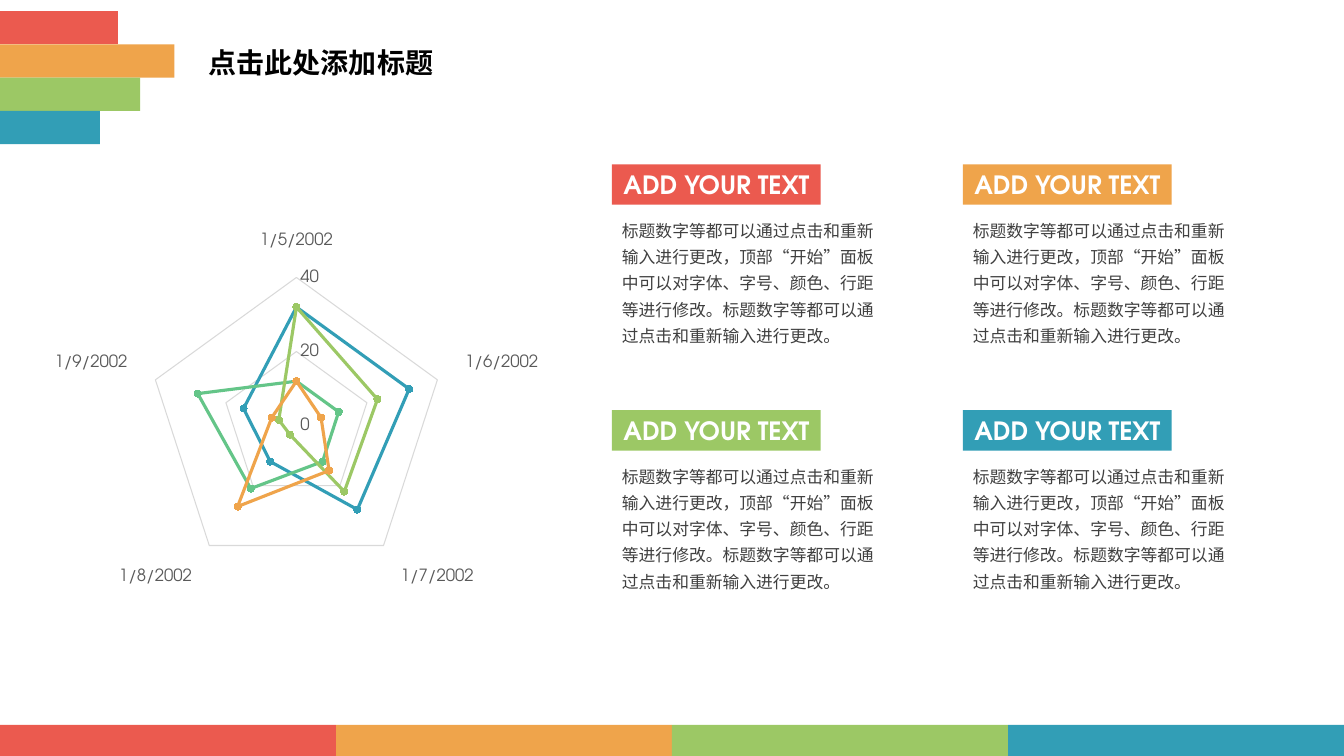
from lxml import etree
from pptx import Presentation
from pptx.chart.data import CategoryChartData
from pptx.dml.color import RGBColor
from pptx.enum.chart import XL_CHART_TYPE, XL_MARKER_STYLE, XL_TICK_MARK
from pptx.enum.shapes import MSO_SHAPE
from pptx.enum.text import MSO_ANCHOR, MSO_AUTO_SIZE, PP_ALIGN
from pptx.oxml.ns import qn
from pptx.util import Inches, Pt

RECT = MSO_SHAPE.RECTANGLE
RADAR = XL_CHART_TYPE.RADAR_MARKERS
CIRCLE = XL_MARKER_STYLE.CIRCLE
NO_TICK = XL_TICK_MARK.NONE
LEFT, CENTER = PP_ALIGN.LEFT, PP_ALIGN.CENTER
MIDDLE, TOP = MSO_ANCHOR.MIDDLE, MSO_ANCHOR.TOP
NO_FIT = MSO_AUTO_SIZE.NONE

CJK, LATIN = "Noto Sans CJK SC", "TeX Gyre Adventor"
WIDTH, HEIGHT = 13.33, 7.5
PALETTE = ["EB5A4F", "EFA44B", "9CC865", "329EB6"]

TITLE = "点击此处添加标题"
HEADING = "ADD YOUR TEXT"
BODY = ("标题数字等都可以通过点击和重新输入进行更改，顶部“开始”面板中可以对字体、字号、颜色、行距等进行修改。"
        "标题数字等都可以通过点击和重新输入进行更改。")

STRIPE_WIDTHS = [1.17, 1.73, 1.39, 0.99]
STRIPE_TOP, STRIPE_H = 0.11, 0.33
FOOTER_H = 0.31
GRID_LEFT, GRID_TOP, COL_STEP, ROW_STEP = 6.07, 1.63, 3.48, 2.44
BODY_DROP = 0.45

DATES = ["1/5/2002", "1/6/2002", "1/7/2002", "1/8/2002", "1/9/2002"]
SERIES = [
    ("Series 1", "329EB6", (32, 32, 28, 12, 15)),
    ("Series 2", "64C588", (12, 12, 12, 21, 28)),
    ("Series 3", "9CC865", (32, 23, 22, 3, 5)),
    ("Series 4", "EFA44B", (12, 7, 15, 27, 7)),
]


def rgb(value):
    return RGBColor.from_string(value)


def box(left, top, width, height):
    return [Inches(v) for v in (left, top, width, height)]


def add_bar(s, color, *place):
    sp = s.shapes.add_shape(RECT, *box(*place))
    sp.shadow.inherit = False
    sp.fill.solid()
    sp.fill.fore_color.rgb = rgb(color)
    sp.line.fill.background()
    return sp


def style_font(font, size, color, name, bold=False):
    font.size, font.name, font.bold = Pt(size), name, bold
    font.color.rgb = rgb(color)


def write(sp, text, size, color, name, bold=False, align=LEFT,
          anchor=TOP, spacing=1.0, wrap=True):
    tf = sp.text_frame
    tf.word_wrap, tf.auto_size, tf.vertical_anchor = wrap, NO_FIT, anchor
    p = tf.paragraphs[0]
    p.alignment, p.line_spacing, p.space_before = align, spacing, Pt(0)
    r = p.add_run()
    r.text = text
    style_font(r.font, size, color, name, bold)
    latin = r.font._element.find(qn("a:latin"))
    ea = etree.Element(qn("a:ea"), typeface=name)
    latin.addnext(ea)


def add_stripes(s):
    for i, (color, width) in enumerate(zip(PALETTE, STRIPE_WIDTHS)):
        add_bar(s, color, 0, STRIPE_TOP + i * STRIPE_H, width, STRIPE_H)
        quarter = WIDTH / len(PALETTE)
        add_bar(s, color, i * quarter, HEIGHT - FOOTER_H, quarter, FOOTER_H)


def add_title(s):
    title = s.shapes.title
    title.left, title.top, title.width, title.height = box(1.97, 0.35, 4.88, 0.58)
    write(title, TITLE, 20, "000000", CJK, bold=True, anchor=MIDDLE, spacing=0.9)


def add_radar(s):
    data = CategoryChartData()
    data.categories = DATES
    for name, _, values in SERIES:
        data.add_series(name, values)
    chart = s.shapes.add_chart(RADAR, *box(0.44, 1.79, 5, 4.53), data).chart
    chart.has_legend = chart.has_title = False
    style_font(chart.font, 10, "000000", LATIN)
    plot = chart.plots[0]
    plot.vary_by_categories = False
    for series, (_, color, _) in zip(plot.series, SERIES):
        series.format.line.width = Pt(2.25)
        series.format.line.color.rgb = rgb(color)
        marker = series.marker
        marker.style, marker.size = CIRCLE, 5
        marker.format.fill.solid()
        marker.format.fill.fore_color.rgb = rgb(color)
        marker.format.line.color.rgb = rgb(color)

    dates, values = chart.category_axis, chart.value_axis
    for axis in (dates, values):
        axis.major_tick_mark = axis.minor_tick_mark = NO_TICK
        style_font(axis.tick_labels.font, 12, "595959", LATIN)
    dates.has_major_gridlines = False
    values.minimum_scale, values.maximum_scale, values.major_unit = 0, 40, 20
    values.has_major_gridlines = True
    values.format.line.fill.background()
    for line in (dates.format.line, values.major_gridlines.format.line):
        line.width = Pt(0.75)
        line.color.rgb = rgb("D9D9D9")


def add_cards(s):
    for i, color in enumerate(PALETTE):
        row, col = divmod(i, 2)
        left, top = GRID_LEFT + col * COL_STEP, GRID_TOP + row * ROW_STEP
        label = add_bar(s, color, left, top, 2.07, 0.4)
        write(label, HEADING, 18, "FFFFFF", LATIN, bold=True,
              align=CENTER, anchor=MIDDLE, wrap=False)
        body = s.shapes.add_textbox(*box(left, top + BODY_DROP, 2.77, 1.41))
        write(body, BODY, 12, "404040", CJK, spacing=1.3)


def main():
    prs = Presentation()
    prs.slide_width, prs.slide_height = Inches(WIDTH), Inches(HEIGHT)
    s = prs.slides.add_slide(prs.slide_layouts[5])
    add_stripes(s)
    add_title(s)
    add_radar(s)
    add_cards(s)
    prs.save("out.pptx")


if __name__ == "__main__":
    main()
